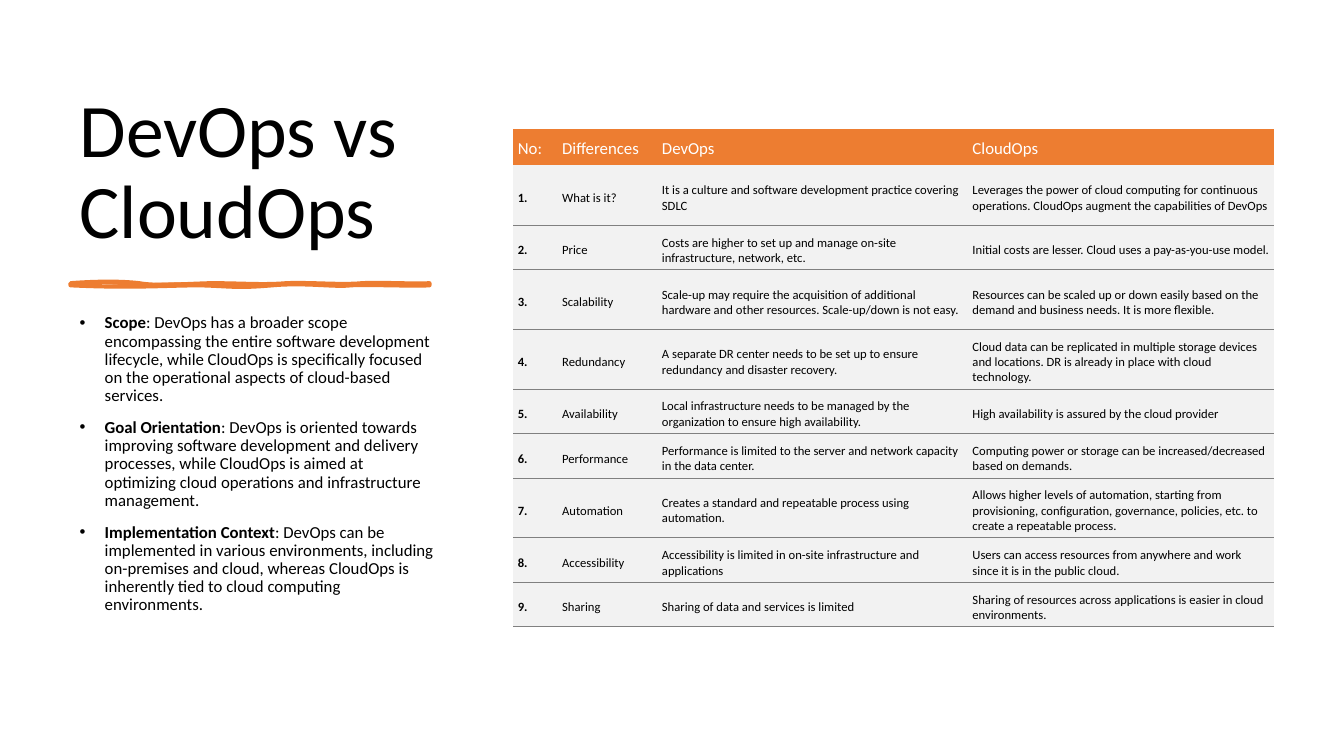
from copy import deepcopy
from lxml.etree import SubElement
from pptx import Presentation
from pptx.dml.color import RGBColor
from pptx.enum.text import MSO_ANCHOR
from pptx.oxml.ns import qn
from pptx.util import Inches, Pt

FONT = "Calibri"
COLORS = {"ink": "000000", "head": "ED7D31", "cell": "F2F2F2",
          "rule": "808080", "white": "FFFFFF"}

POINTS = [
    ("Scope", ": DevOps has a broader scope encompassing the entire software development "
     "lifecycle, while CloudOps is specifically focused on the operational aspects of "
     "cloud-based services."),
    ("Goal Orientation", ": DevOps is oriented towards improving software development and "
     "delivery processes, while CloudOps is aimed at optimizing cloud operations and "
     "infrastructure management."),
    ("Implementation Context", ": DevOps can be implemented in various environments, "
     "including on-premises and cloud, whereas CloudOps is inherently tied to cloud "
     "computing environments."),
]

HEIGHT = 4.94
WIDTHS = [0.44, 0.99, 3.08, 3.04]
HEADS = ["No:", "Differences", "DevOps", "CloudOps"]
# Row share of the height, topic, DevOps side, CloudOps side
ROWS = [
    (0.59, "What is it?",
     "It is a culture and software development practice covering SDLC",
     "Leverages the power of cloud computing for continuous operations. CloudOps augment "
     "the capabilities of DevOps"),
    (0.44, "Price",
     "Costs are higher to set up and manage on-site infrastructure, network, etc.",
     "Initial costs are lesser. Cloud uses a pay-as-you-use model."),
    (0.59, "Scalability",
     "Scale-up may require the acquisition of additional hardware and other resources. "
     "Scale-up/down is not easy.",
     "Resources can be scaled up or down easily based on the demand and business needs. "
     "It is more flexible."),
    (0.59, "Redundancy",
     "A separate DR center needs to be set up to ensure redundancy and disaster recovery.",
     "Cloud data can be replicated in multiple storage devices and locations. "
     "DR is already in place with cloud technology."),
    (0.44, "Availability",
     "Local infrastructure needs to be managed by the organization to ensure high "
     "availability.",
     "High availability is assured by the cloud provider"),
    (0.44, "Performance",
     "Performance is limited to the server and network capacity in the data center.",
     "Computing power or storage can be increased/decreased based on demands."),
    (0.59, "Automation",
     "Creates a standard and repeatable process using automation.",
     "Allows higher levels of automation, starting from provisioning, configuration, "
     "governance, policies, etc. to create a repeatable process."),
    (0.44, "Accessibility",
     "Accessibility is limited in on-site infrastructure and applications",
     "Users can access resources from anywhere and work since it is in the public cloud."),
    (0.44, "Sharing",
     "Sharing of data and services is limited",
     "Sharing of resources across applications is easier in cloud environments."),
]

# Brush stroke: a drawn edge and a filled body, cubic curves from START
START = (0.7, 2.81)
END = (4.26, 2.83)
EDGE = [
    (0.97, 2.79, 1.21, 2.79, 1.38, 2.81), (1.55, 2.84, 1.77, 2.82, 2.09, 2.81),
    (2.41, 2.81, 2.6, 2.83, 2.84, 2.81), (3.08, 2.8, 3.39, 2.83, 3.59, 2.81),
    (3.79, 2.8, 4.12, 2.82, 4.26, 2.81), (4.26, 2.82, 4.26, 2.83, 4.26, 2.83),
    (4.08, 2.84, 3.64, 2.82, 3.48, 2.83), (3.32, 2.85, 3.04, 2.8, 2.7, 2.83),
    (2.35, 2.86, 2.31, 2.84, 1.99, 2.83), (1.66, 2.83, 1.32, 2.86, 0.7, 2.83),
    (0.7, 2.83, 0.7, 2.82, 0.7, 2.81)]
BODY = [
    (1.02, 2.84, 1.1, 2.82, 1.38, 2.81), (1.66, 2.81, 1.69, 2.79, 1.99, 2.81),
    (2.28, 2.84, 2.61, 2.83, 2.77, 2.81), (2.93, 2.8, 3.27, 2.84, 3.44, 2.81),
    (3.62, 2.79, 3.97, 2.85, 4.26, 2.81), (4.26, 2.82, 4.26, 2.83, 4.26, 2.83),
    (4.12, 2.83, 3.72, 2.86, 3.55, 2.83), (3.38, 2.81, 3.09, 2.84, 2.77, 2.83),
    (2.44, 2.83, 2.4, 2.82, 2.16, 2.83), (1.93, 2.85, 1.79, 2.83, 1.45, 2.83),
    (1.11, 2.84, 0.92, 2.83, 0.7, 2.83), (0.7, 2.83, 0.7, 2.82, 0.7, 2.81)]


def color(name):
    return RGBColor.from_string(COLORS[name])


def add_run(para, text, size, tint="ink", bold=False):
    run = para.add_run()
    run.text = text
    font = run.font
    font.name, font.size, font.bold = FONT, Pt(size), bold
    font.color.rgb = color(tint)


def add_box(slide, left, top, width, height, anchor):
    box = slide.shapes.add_textbox(Inches(left), Inches(top), Inches(width), Inches(height))
    frame = box.text_frame
    frame.word_wrap = True
    frame.vertical_anchor = anchor
    return frame


def add_list(frame, points):
    for i, (term, text) in enumerate(points):
        para = frame.add_paragraph() if i else frame.paragraphs[0]
        props = para._p.get_or_add_pPr()
        props.set("marL", str(Inches(0.25)))
        props.set("indent", str(Inches(-0.25)))
        para.line_spacing = 0.9
        para.space_before = Pt(10 if i else 0)
        SubElement(props, qn("a:buFont"), typeface="Arial")
        SubElement(props, qn("a:buChar"), char="•")
        add_run(para, term, 12, bold=True)
        add_run(para, text, 12)


def bend(outline, curves):
    """Redraw an outline as a closed chain of cubic curves."""
    for part in list(outline):
        outline.remove(part)
    for kind, nums in [("moveTo", START)] + [("cubicBezTo", c) for c in curves]:
        step = SubElement(outline, qn("a:" + kind))
        for x, y in zip(nums[::2], nums[1::2]):
            SubElement(step, qn("a:pt"), x=str(Inches(x) - Inches(START[0])),
                       y=str(Inches(y) - Inches(START[1])))
    SubElement(outline, qn("a:close"))


def add_brush(slide):
    build = slide.shapes.build_freeform(*map(Inches, START))
    build.add_line_segments([tuple(map(Inches, END))])
    brush = build.convert_to_shape()
    edge = next(brush._element.iter(qn("a:path")))
    body = deepcopy(edge)
    edge.addnext(body)
    edge.set("fill", "none")
    body.set("stroke", "0")
    bend(edge, EDGE)
    bend(body, BODY)
    brush.shadow.inherit = False
    brush.fill.solid()
    brush.fill.fore_color.rgb = color("head")
    brush.line.color.rgb = color("head")
    brush.line.width = Pt(3)
    SubElement(brush.line._get_or_add_ln(), qn("a:round"))


def set_edges(cell, shown):
    """Grey rule on the shown sides, nothing on the others."""
    props = cell._tc.get_or_add_tcPr()
    for i, side in enumerate("LRTB"):
        edge = props.makeelement(qn("a:ln" + side), {"w": str(Pt(0.75))})
        props.insert(i, edge)
        if side in shown:
            fill = SubElement(edge, qn("a:solidFill"))
            SubElement(fill, qn("a:srgbClr"), val=COLORS["rule"])
        else:
            SubElement(edge, qn("a:noFill"))


def fill_cell(cell, text, size, tint, back, foot, shown, bold=False):
    cell.fill.solid()
    cell.fill.fore_color.rgb = color(back)
    cell.vertical_anchor = MSO_ANCHOR.MIDDLE
    cell.margin_left = cell.margin_right = Pt(3.3)
    cell.margin_top, cell.margin_bottom = Inches(0.08), Inches(foot)
    set_edges(cell, shown)
    add_run(cell.text_frame.paragraphs[0], text, size, tint, bold)


def add_grid(slide):
    highs = [0.36] + [row[0] for row in ROWS]
    grid = slide.shapes.add_table(len(highs), len(WIDTHS), Inches(5.09), Inches(1.28),
                                  Inches(sum(WIDTHS)), Inches(HEIGHT)).table
    for col, width in zip(grid.columns, WIDTHS):
        col.width = Inches(width)
    for row, high in zip(grid.rows, highs):
        row.height = Inches(HEIGHT * high / sum(highs))
    for c, head in enumerate(HEADS):
        fill_cell(grid.cell(0, c), head, 12, "white", "head", 0.05, "")
    for r, (_, *texts) in enumerate(ROWS, 1):
        for c, text in enumerate([f"{r}.", *texts]):
            fill_cell(grid.cell(r, c), text, 9, "ink", "cell", 0.02,
                      "TB" if r > 1 else "B", bold=c == 0)


def main():
    deck = Presentation()
    deck.slide_width, deck.slide_height = Inches(13.33), Inches(7.5)
    slide = deck.slides.add_slide(deck.slide_layouts[6])

    # Title and brush stroke
    title = add_box(slide, 0.69, 0.7, 3.75, 1.88, MSO_ANCHOR.BOTTOM).paragraphs[0]
    title.line_spacing = 0.9
    add_run(title, "DevOps vs CloudOps", 54)
    add_brush(slide)

    # Key points
    add_list(add_box(slide, 0.69, 3.07, 3.75, 3.73, MSO_ANCHOR.TOP), POINTS)

    # Comparison table
    add_grid(slide)
    deck.save("out.pptx")


if __name__ == "__main__":
    main()
